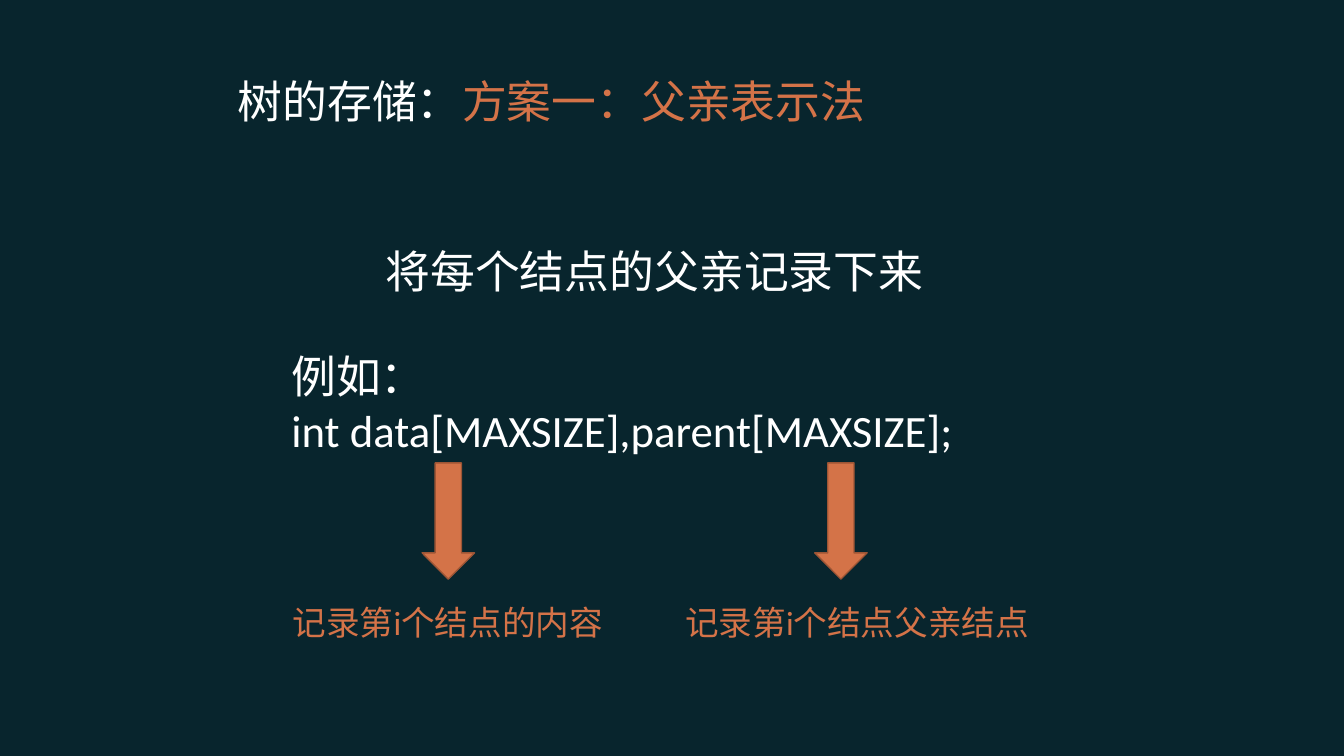
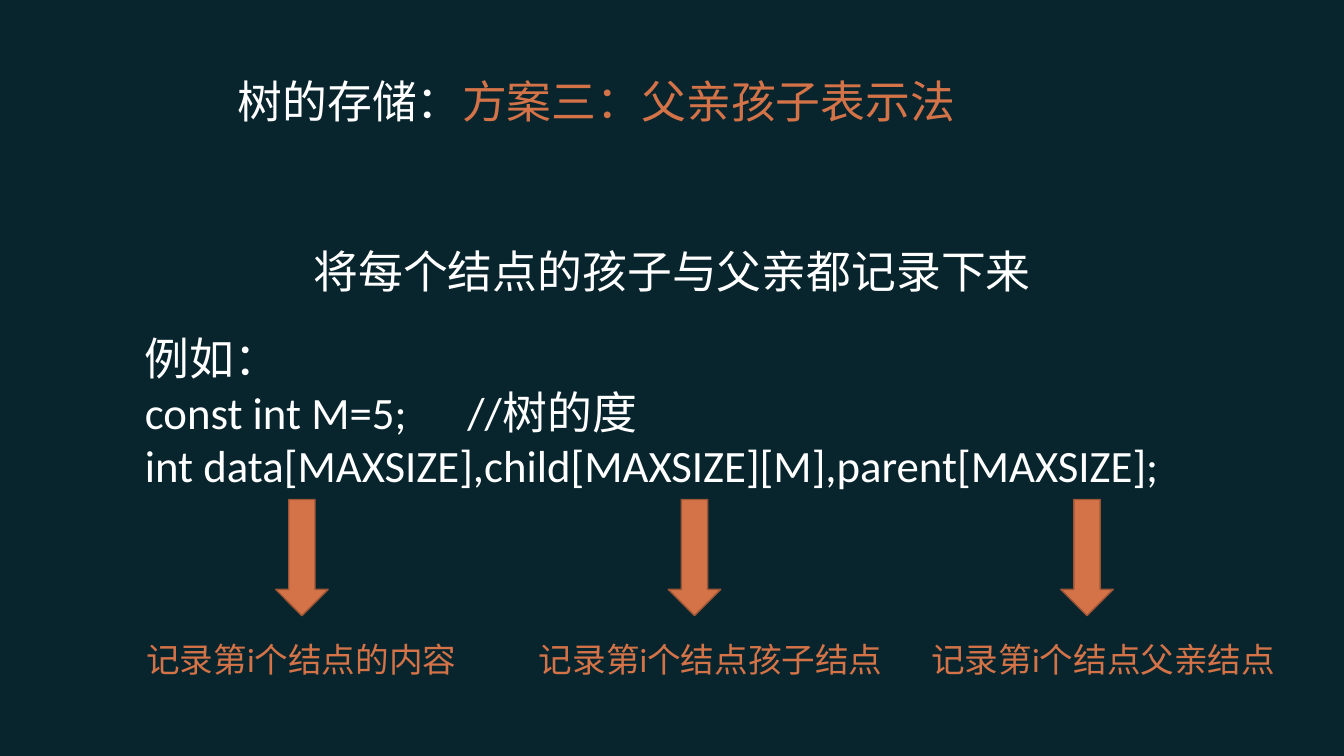
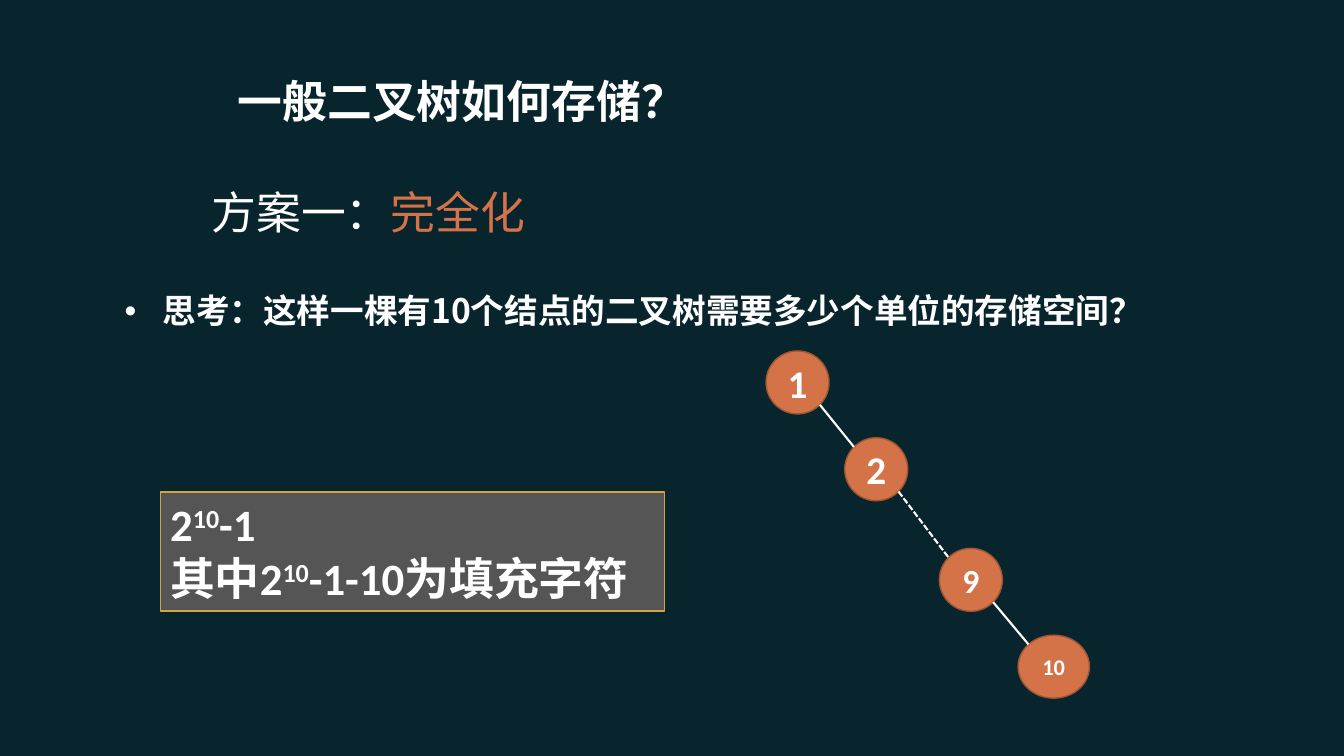
import math

import pptx
import pptx.dml.color
import pptx.enum.dml
import pptx.enum.shapes
import pptx.enum.text
import pptx.oxml.ns
import pptx.util
from lxml import etree

Pt = pptx.util.Pt
SHAPE = pptx.enum.shapes.MSO_SHAPE
ALIGN = pptx.enum.text.PP_ALIGN
ANCHOR = pptx.enum.text.MSO_ANCHOR
qn = pptx.oxml.ns.qn

COLORS = {
    "background": "08252D",
    "text": "FFFFFF",
    "accent": "D47348",
    "accent_edge": "9D5535",
    "answer_fill": "555555",
    "answer_edge": "D4A444",
}
LATIN, CJK = "Calibri", "Noto Sans CJK SC"
SLIDE_W, SLIDE_H = 960, 540
ARROW_W, ARROW_H = 37.5, 83
COLUMN_PITCH = 280.4
LINE_H, PAD = 39, 7.2
NODE = 45


def rgb(name):
    return pptx.dml.color.RGBColor.from_string(COLORS[name])


def run(text, color="text", size=32, bold=False, font=LATIN, raised=False):
    return dict(text=text, color=color, size=size, bold=bold, font=font, raised=raised)


def write(tf, paragraphs, align=ALIGN.LEFT, anchor=ANCHOR.TOP):
    tf.word_wrap = True
    tf.vertical_anchor = anchor
    for i, runs in enumerate(paragraphs):
        p = tf.paragraphs[0] if i == 0 else tf.add_paragraph()
        p.alignment = align
        for item in runs:
            r = p.add_run()
            r.text = item["text"]
            r.font.name = item["font"]
            r.font.size = Pt(item["size"])
            r.font.bold = item["bold"]
            r.font.color.rgb = rgb(item["color"])
            if item["raised"]:
                r._r.get_or_add_rPr().set("baseline", "30000")


def add_text(s, box, paragraphs, **layout):
    sp = s.shapes.add_textbox(*map(Pt, box))
    write(sp.text_frame, paragraphs, **layout)
    return sp


def add_shape(s, kind, box, fill="accent", edge="accent_edge"):
    sp = s.shapes.add_shape(kind, *map(Pt, box))
    sp.shadow.inherit = False
    sp.fill.solid()
    sp.fill.fore_color.rgb = rgb(fill)
    sp.line.color.rgb = rgb(edge)
    sp.line.width = Pt(1)
    return sp


def new_slide(prs, title):
    s = prs.slides.add_slide(prs.slide_layouts[6])
    s.background.fill.solid()
    s.background.fill.fore_color.rgb = rgb("background")
    add_text(s, (162.7, 43.2, 572.4, 57), [title], anchor=ANCHOR.MIDDLE)
    return s


def storage_slide(prs, title, summary, summary_box, code, code_box, fields):
    s = new_slide(prs, title)
    add_text(s, summary_box, [[run(summary)]], align=ALIGN.CENTER)
    left, top, width = code_box
    height = LINE_H * len(code) + PAD
    add_text(s, (left, top, width, height), [[run(line)] for line in code])
    for i, (label, label_w) in enumerate(fields):
        field_columns(s, left + 1 + i * COLUMN_PITCH, top + height, label, label_w)


def field_columns(s, left, top, label, label_w):
    add_shape(s, SHAPE.DOWN_ARROW, (left + 99.5, top, ARROW_W, ARROW_H))
    add_text(s, (left, top + 95.8, label_w, 36.7), [[run(label, "accent", 24)]])


def add_edge(s, start, end, dashed):
    cx = s.shapes.add_connector(pptx.enum.shapes.MSO_CONNECTOR.STRAIGHT, *map(Pt, start + end))
    cx.line.color.rgb = rgb("text")
    cx.line.width = Pt(1.5)
    if dashed:
        cx.line.dash_style = pptx.enum.dml.MSO_LINE.SQUARE_DOT
    etree.SubElement(cx._element.spPr, qn("a:effectLst"))


def rim_point(box, direction):
    left, top, width, height = box
    reach = direction * math.sqrt(0.5)
    return (left + width / 2 * (1 + reach), top + height / 2 * (1 + reach))


def node_chain(s, left, top):
    nodes = [
        ("1", 28, 0, 0, NODE),
        ("2", 28, 56.2, 62, NODE),
        ("9", 24, 123.8, 141, NODE),
        ("10", 16, 180, 203, 51),
    ]
    boxes = []
    for label, size, dx, dy, width in nodes:
        box = (left + dx, top + dy, width, NODE)
        sp = add_shape(s, SHAPE.OVAL, box)
        write(sp.text_frame, [[run(label, size=size, bold=True)]],
              align=ALIGN.CENTER, anchor=ANCHOR.MIDDLE)
        boxes.append(box)
    for i, (upper, lower) in enumerate(zip(boxes, boxes[1:])):
        add_edge(s, rim_point(upper, 1), rim_point(lower, -1), dashed=i == 1)


def bullet_question(s, box, text):
    sp = add_text(s, box, [[run(text, size=24, bold=True, font=CJK)]])
    pPr = sp.text_frame.paragraphs[0]._p.get_or_add_pPr()
    pPr.set("marL", str(Pt(27)))
    pPr.set("indent", str(Pt(-27)))
    etree.SubElement(pPr, qn("a:buFont")).set("typeface", "Arial")
    etree.SubElement(pPr, qn("a:buChar")).set("char", "•")


def answer_box(s, box):
    sp = add_shape(s, SHAPE.RECTANGLE, box, "answer_fill", "answer_edge")
    power = [run("2", bold=True), run("10", bold=True, raised=True)]
    write(sp.text_frame, [
        power + [run("-1", bold=True)],
        [run("其中", bold=True)] + power + [run("-1-10为填充字符", bold=True)],
    ])


def binary_tree_slide(prs):
    s = new_slide(prs, [run("一般二叉树如何存储？", bold=True)])
    add_text(s, (144, 128.2, 266.4, 46), [[run("方案一："), run("完全化", "accent")]])
    bullet_question(s, (82, 203.8, 854, 55.4),
                    "思考：这样一棵有10个结点的二叉树需要多少个单位的存储空间？")
    node_chain(s, 547.2, 250.7)
    answer_box(s, (114.5, 351.5, 360, 85))


def main():
    prs = pptx.Presentation()
    prs.slide_width, prs.slide_height = Pt(SLIDE_W), Pt(SLIDE_H)
    content = ("记录第i个结点的内容", 236.2)
    children = ("记录第i个结点孩子结点", 267.1)
    parent = ("记录第i个结点父亲结点", 267.1)
    storage_slide(
        prs,
        [run("树的存储："), run("方案一：父亲表示法", "accent")],
        "将每个结点的父亲记录下来", (247.7, 170.6, 440, 46),
        ["例如：", "int data[MAXSIZE],parent[MAXSIZE];"], (201, 245.5, 533),
        [content, parent],
    )
    storage_slide(
        prs,
        [run("树的存储："), run("方案三：", "accent"),
         run("父亲孩子表示法", "accent", font=CJK)],
        "将每个结点的孩子与父亲都记录下来", (175, 170.6, 610.6, 46),
        ["例如：", "const int M=5;      //树的度",
         "int data[MAXSIZE],child[MAXSIZE][M],parent[MAXSIZE];"], (96.4, 232.6, 746.6),
        [content, children, parent],
    )
    binary_tree_slide(prs)
    prs.save("out.pptx")


if __name__ == "__main__":
    main()
